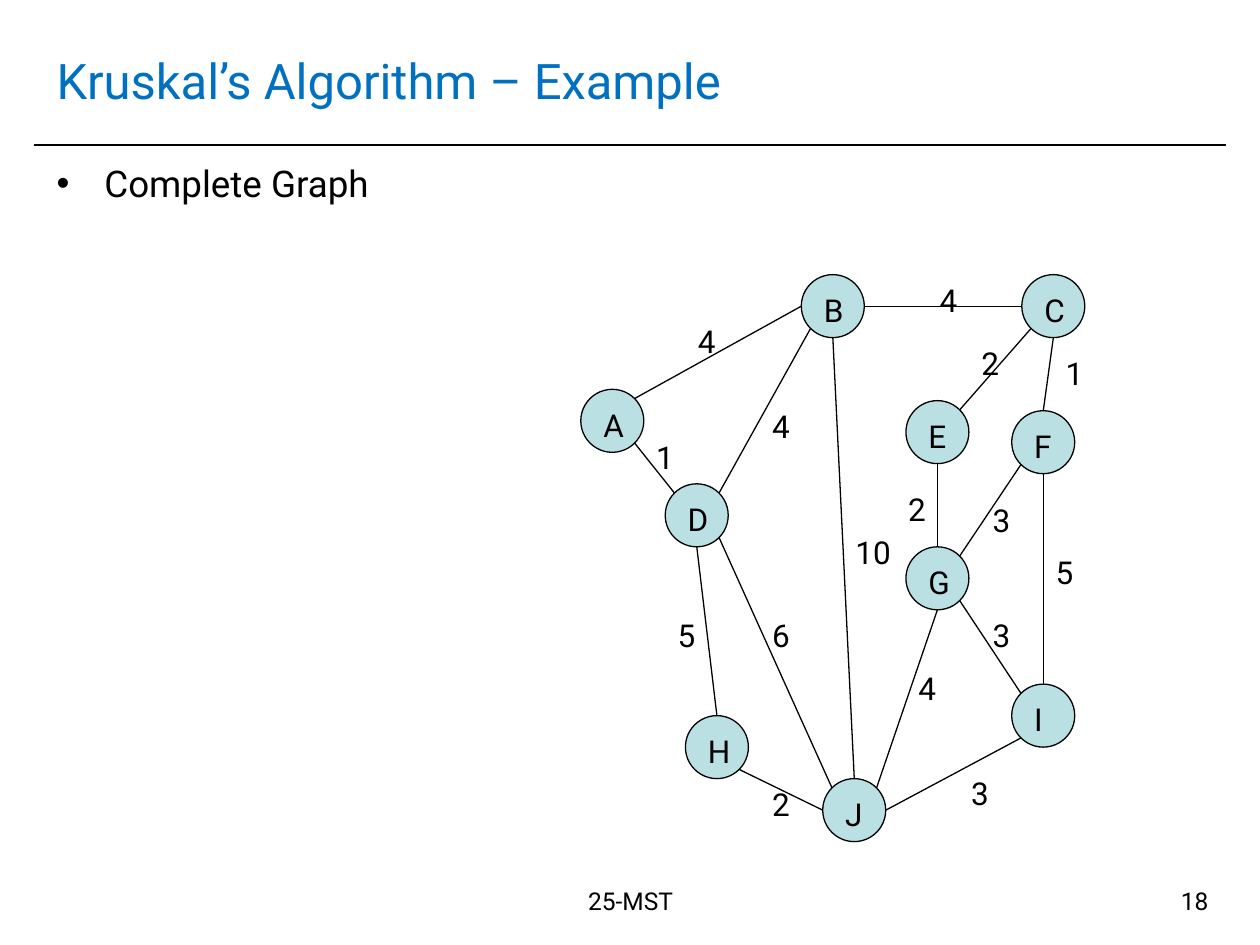
from math import cos, radians, sin

from lxml import etree
from pptx import Presentation
from pptx.dml.color import RGBColor
from pptx.enum.shapes import MSO_CONNECTOR as Connector, MSO_SHAPE as Shape
from pptx.enum.text import MSO_ANCHOR as Anchor, MSO_AUTO_SIZE as AutoSize, PP_ALIGN as Align
from pptx.oxml.ns import qn
from pptx.util import Inches, Pt

rgb = RGBColor.from_string
BLACK, BLUE, TEAL = "000000", "0070C0", "BBE0E3"

prs = Presentation()
prs.slide_width, prs.slide_height = Inches(10), Inches(7.5)
slide = prs.slides.add_slide(prs.slide_layouts[6])


def add_text(text, left, top, width, height, size, color=BLACK, align=Align.LEFT, wrap=True):
    box = slide.shapes.add_textbox(Inches(left), Inches(top), Inches(width), Inches(height))
    frame = box.text_frame
    frame.text = text
    frame.word_wrap = wrap
    frame.auto_size = AutoSize.NONE if wrap else AutoSize.SHAPE_TO_FIT_TEXT
    paragraph = frame.paragraphs[0]
    paragraph.alignment = align
    font = paragraph.runs[0].font
    font.name, font.size, font.color.rgb = "Roboto", Pt(size), rgb(color)
    return frame


def add_line(x1, y1, x2, y2, weight):
    line = slide.shapes.add_connector(
        Connector.STRAIGHT, Inches(x1), Inches(y1), Inches(x2), Inches(y2))
    line.line.color.rgb = rgb(BLACK)
    line.line.width = Pt(weight)
    etree.SubElement(line._element.spPr, qn("a:effectLst"))


# Heading, rule and footer
add_line(0.27, 1.15, 9.73, 1.15, 1)
title = add_text("Kruskal’s Algorithm – Example", 0.35, 0.21, 9.29, 0.85, 28, BLUE)
title.vertical_anchor = Anchor.MIDDLE
add_text("25-MST", 3.35, 6.98, 3.31, 0.52, 14, align=Align.CENTER)
add_text("18", 7.36, 6.98, 2.33, 0.52, 14, align=Align.RIGHT)

# Bullet with a hanging indent
body = add_text("Complete Graph", 0.35, 1.23, 9.29, 5.59, 21)
bullet_props = body.paragraphs[0]._p.get_or_add_pPr()
bullet_props.set("marL", str(Inches(0.38)))
bullet_props.set("indent", str(-Inches(0.38)))
bullet_color = etree.SubElement(bullet_props, qn("a:buClr"))
etree.SubElement(bullet_color, qn("a:srgbClr"), val=BLACK)
etree.SubElement(bullet_props, qn("a:buFont"), typeface="Arial")
etree.SubElement(bullet_props, qn("a:buChar"), char="•")

# Vertices: left, top, letter box width
DIAMETER = 0.5
vertices = {
    "A": (4.61, 3.09, 0.35), "B": (6.36, 2.18, 0.35), "C": (8.11, 2.18, 0.35),
    "D": (5.28, 3.84, 0.37), "E": (7.19, 3.18, 0.34), "F": (8.03, 3.26, 0.33),
    "G": (7.19, 4.34, 0.37), "H": (5.44, 5.68, 0.37), "I": (8.03, 5.43, 0.30),
    "J": (6.53, 6.18, 0.31),
}
for letter, (left, top, letter_width) in vertices.items():
    circle = slide.shapes.add_shape(
        Shape.OVAL, Inches(left), Inches(top), Inches(DIAMETER), Inches(DIAMETER))
    circle.shadow.inherit = False
    circle.fill.solid()
    circle.fill.fore_color.rgb = rgb(TEAL)
    circle.line.color.rgb = rgb(BLACK)
    circle.line.width = Pt(0.75)
    add_text(letter, left + 0.08, top + 0.08, letter_width, 0.4, 18, wrap=False)

# Edges: vertex and compass side at each end, weight, weight label left and top
compass = {side: radians(45 * step) for step, side in
           enumerate(["E", "SE", "S", "SW", "W", "NW", "N", "NE"])}
edges = [
    ("A", "NE", "B", "W", 4, 5.44, 2.51), ("A", "SE", "D", "NW", 1, 5.11, 3.43),
    ("B", "E", "C", "W", 4, 7.36, 2.18), ("B", "SW", "D", "NE", 4, 6.03, 3.18),
    ("B", "S", "J", "N", 10, 6.69, 4.18), ("C", "SW", "E", "NE", 2, 7.69, 2.68),
    ("C", "S", "F", "N", 1, 8.36, 2.76), ("D", "S", "H", "N", 5, 5.28, 4.84),
    ("D", "SE", "J", "NW", 6, 6.03, 4.84), ("E", "S", "G", "N", 2, 7.11, 3.84),
    ("F", "SW", "G", "NE", 3, 7.78, 3.93), ("F", "S", "I", "N", 5, 8.28, 4.34),
    ("G", "SE", "I", "NW", 3, 7.78, 4.84), ("G", "S", "J", "NE", 4, 7.19, 5.26),
    ("H", "SE", "J", "W", 2, 6.03, 6.18), ("J", "E", "I", "SW", 3, 7.61, 6.09),
]
for start, start_side, end, end_side, cost, label_left, label_top in edges:
    ends = []
    for vertex, side in ((start, start_side), (end, end_side)):
        left, top, _ = vertices[vertex]
        ends += [left + DIAMETER / 2 * (1 + cos(compass[side])),
                 top + DIAMETER / 2 * (1 + sin(compass[side]))]
    add_line(*ends, 0.75)
    add_text(str(cost), label_left, label_top, 0.48 if cost > 9 else 0.34, 0.4, 18, wrap=False)

prs.save("out.pptx")
